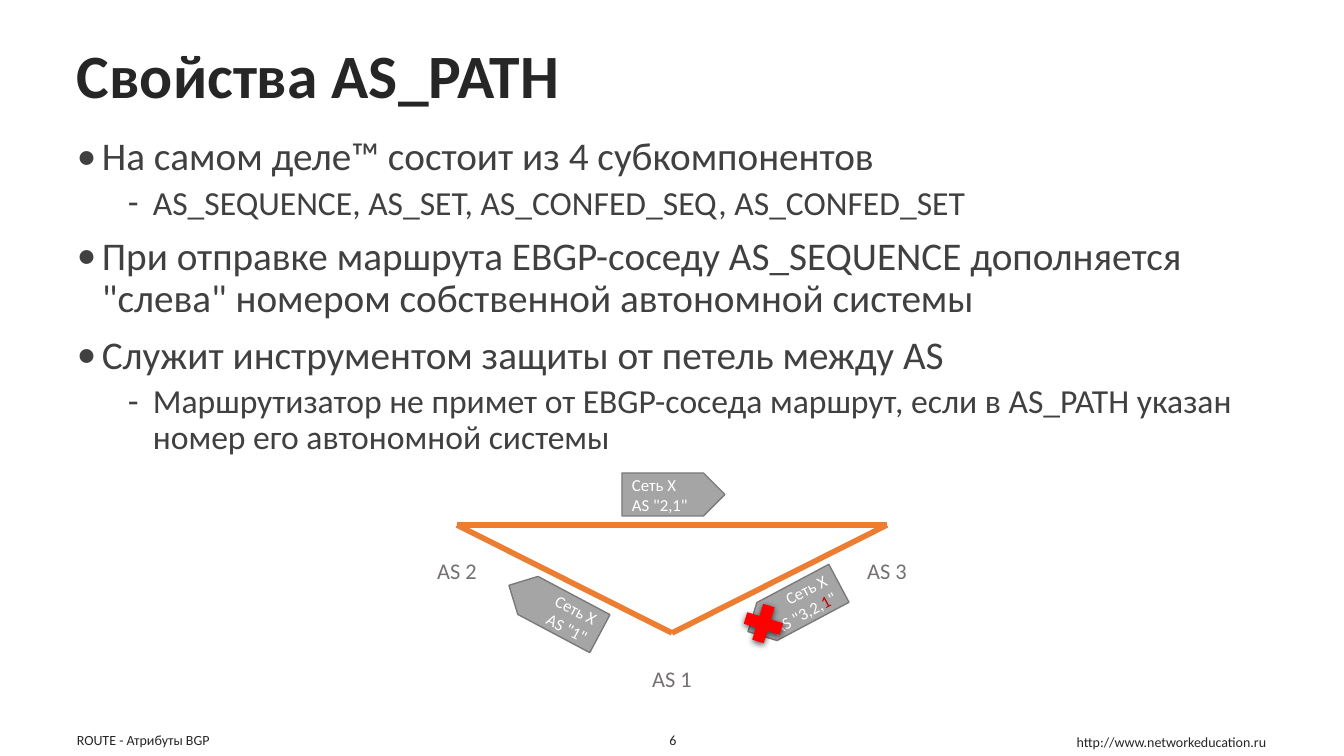
import pptx
import pptx.util
import pptx.dml.color
import pptx.enum.shapes
import pptx.enum.text
import lxml.etree
import pptx.oxml.ns

PX = 12192000 / 1344
COLORS = {"dark": "262626", "body": "404040", "label": "767171", "link": "ED7D31",
          "packet": "A5A5A5", "packet_edge": "7A7A7A", "white": "FFFFFF",
          "own_as": "C00000", "reject": "FF0000"}
SHAPE = pptx.enum.shapes.MSO_SHAPE
ALIGN = pptx.enum.text.PP_ALIGN
ANCHOR = pptx.enum.text.MSO_ANCHOR
qn = pptx.oxml.ns.qn


def px(*lengths):
    return [round(length * PX) for length in lengths]


def write(frame, lines, size, color, align=ALIGN.LEFT, bold=False, anchor=ANCHOR.TOP, wrap=True):
    frame.word_wrap = wrap
    frame.vertical_anchor = anchor
    for number, line in enumerate(lines):
        paragraph = frame.add_paragraph() if number else frame.paragraphs[0]
        paragraph.text = line
        paragraph.alignment = align
        paragraph.font.name = "Calibri"
        paragraph.font.size = pptx.util.Pt(size)
        paragraph.font.bold = bold
        paragraph.font.color.rgb = pptx.dml.color.RGBColor.from_string(COLORS[color])


deck = pptx.Presentation()
deck.slide_width, deck.slide_height = px(1344, 756)
slide = deck.slides.add_slide(deck.slide_layouts[6])
shapes = slide.shapes

# Title
title = shapes.add_textbox(*px(67, 40, 1210, 72)).text_frame
write(title, ["Свойства AS_PATH"], 44, "dark", bold=True)
title.paragraphs[0].line_spacing = 0.9

# Bulleted text: level and wording
points = [
    (0, "На самом деле™ состоит из 4 субкомпонентов"),
    (1, "AS_SEQUENCE, AS_SET, AS_CONFED_SEQ, AS_CONFED_SET"),
    (0, "При отправке маршрута EBGP-соседу AS_SEQUENCE дополняется "
        "\"слева\" номером собственной автономной системы"),
    (0, "Служит инструментом защиты от петель между AS"),
    (1, "Маршрутизатор не примет от EBGP-соседа маршрут, если в AS_PATH "
        "указан номер его автономной системы"),
]
levels = [("•", 25, 28, 10), ("‐", 76, 24, 5)]
body = shapes.add_textbox(*px(67, 132, 1210, 563)).text_frame
body.word_wrap = True
for number, (level, wording) in enumerate(points):
    mark, margin, size, gap = levels[level]
    point = body.add_paragraph() if number else body.paragraphs[0]
    point.text = wording
    point.level = level
    properties = point._p.get_or_add_pPr()
    properties.set("marL", str(px(margin)[0]))
    properties.set("indent", str(px(-25)[0]))
    lxml.etree.SubElement(properties, qn("a:buFont")).set("typeface", "Calibri")
    lxml.etree.SubElement(properties, qn("a:buChar")).set("char", mark)
    point.line_spacing = 0.9
    if number:
        point.space_before = pptx.util.Pt(gap)
    point.font.name = "Calibri"
    point.font.size = pptx.util.Pt(size)
    point.font.color.rgb = pptx.dml.color.RGBColor.from_string(COLORS["body"])

# Links between the routers
routers = {1: (672, 633), 2: (457, 525), 3: (887, 525)}
for start, end in [(3, 1), (3, 2), (1, 2)]:
    link = shapes.add_connector(pptx.enum.shapes.MSO_CONNECTOR.STRAIGHT,
                                *px(*routers[start], *routers[end]))
    link.line.color.rgb = pptx.dml.color.RGBColor.from_string(COLORS["link"])
    link.line.width = pptx.util.Pt(4)
    lxml.etree.SubElement(link._element.spPr, qn("a:effectLst"))

# Autonomous system under each router
for number, (x, y) in routers.items():
    system = shapes.add_textbox(*px(x - 30, y + 27, 60, 37))
    write(system.text_frame, [f"AS {number}"], 16, "label", ALIGN.CENTER, wrap=False)

# Route announcements: left, top, rotation, AS path, own AS number, path end
packets = [(503, 588, 28, "AS \"1\"", "", ""),
           (622, 473, 0, "AS \"2,1\"", "", ""),
           (742, 586, 332, "AS \"3,2,", "1", "\"")]
for left, top, rotation, path_start, own_as, path_end in packets:
    packet = shapes.add_shape(SHAPE.PENTAGON, *px(left, top, 103, 43))
    packet.shadow.inherit = False
    packet.rotation = rotation
    packet.fill.solid()
    packet.fill.fore_color.rgb = pptx.dml.color.RGBColor.from_string(COLORS["packet"])
    packet.line.color.rgb = pptx.dml.color.RGBColor.from_string(COLORS["packet_edge"])
    packet.line.width = pptx.util.Pt(1)
    if rotation:
        packet._element.spPr.find(qn("a:xfrm")).set("flipH", "1")
    write(packet.text_frame, ["Сеть Х", path_start], 12, "white",
          ALIGN.RIGHT if rotation else ALIGN.LEFT, anchor=ANCHOR.MIDDLE)
    if own_as:
        as_path = packet.text_frame.paragraphs[1]
        for part, color in [(own_as, "own_as"), (path_end, "white")]:
            run = as_path.add_run()
            run.text = part
            run.font.color.rgb = pptx.dml.color.RGBColor.from_string(COLORS[color])

# Rejection cross with a soft shadow
cross = shapes.add_shape(SHAPE.MATH_MULTIPLY, *px(738, 598, 51, 51))
cross.rotation = 332
cross.fill.solid()
cross.fill.fore_color.rgb = pptx.dml.color.RGBColor.from_string(COLORS["reject"])
cross.line.fill.background()
cross.shadow.inherit = False
effects = cross._element.spPr.find(qn("a:effectLst"))
shadow = lxml.etree.SubElement(effects, qn("a:outerShdw"), blurRad="57150",
                               dist="19050", dir="5400000", algn="ctr", rotWithShape="0")
shade = lxml.etree.SubElement(shadow, qn("a:srgbClr"), val="000000")
lxml.etree.SubElement(shade, qn("a:alpha"), val="63000")

# Footer
footer = [(67, 454, "ROUTE - Атрибуты BGP", ALIGN.LEFT, ANCHOR.TOP),
          (523, 300, "6", ALIGN.CENTER, ANCHOR.TOP),
          (912, 364, "http://www.networkeducation.ru", ALIGN.RIGHT, ANCHOR.MIDDLE)]
for left, width, wording, align, anchor in footer:
    note = shapes.add_textbox(*px(left, 727, width, 29))
    write(note.text_frame, [wording], 10, "dark", align, anchor=anchor)

deck.save("out.pptx")
